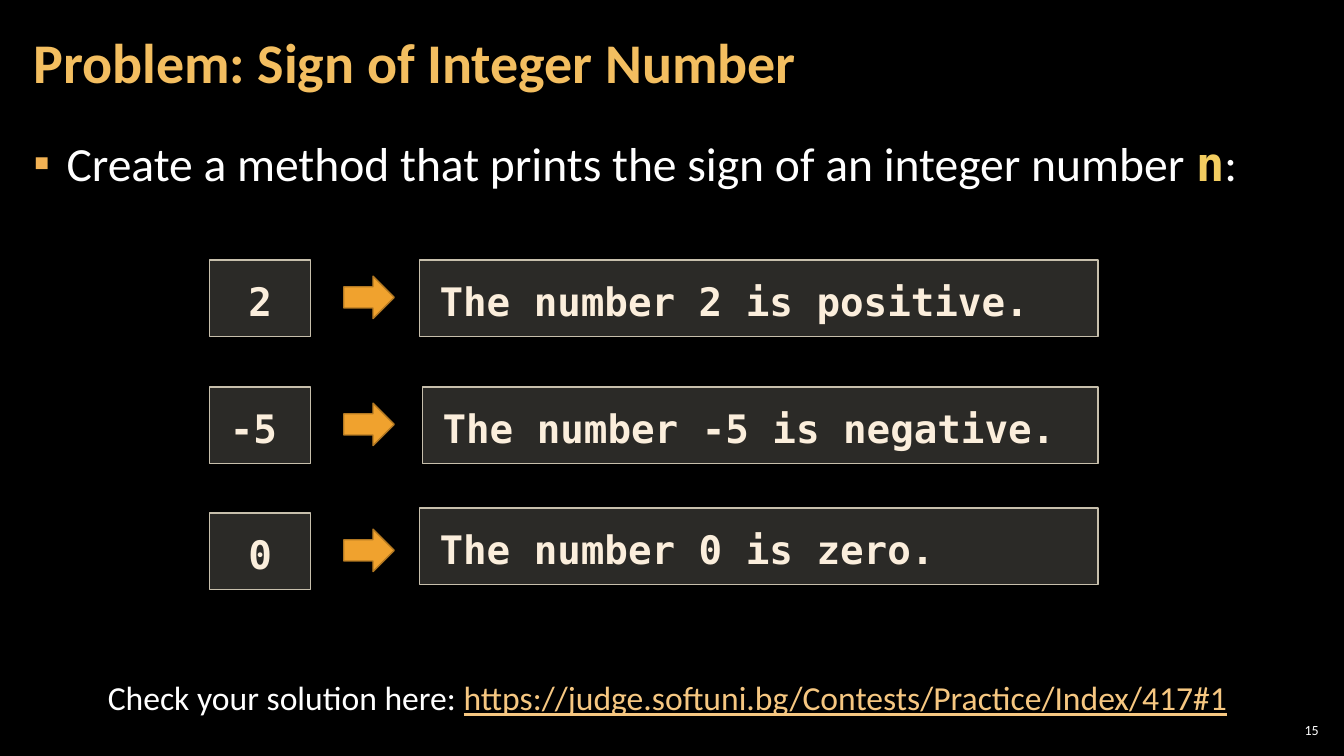
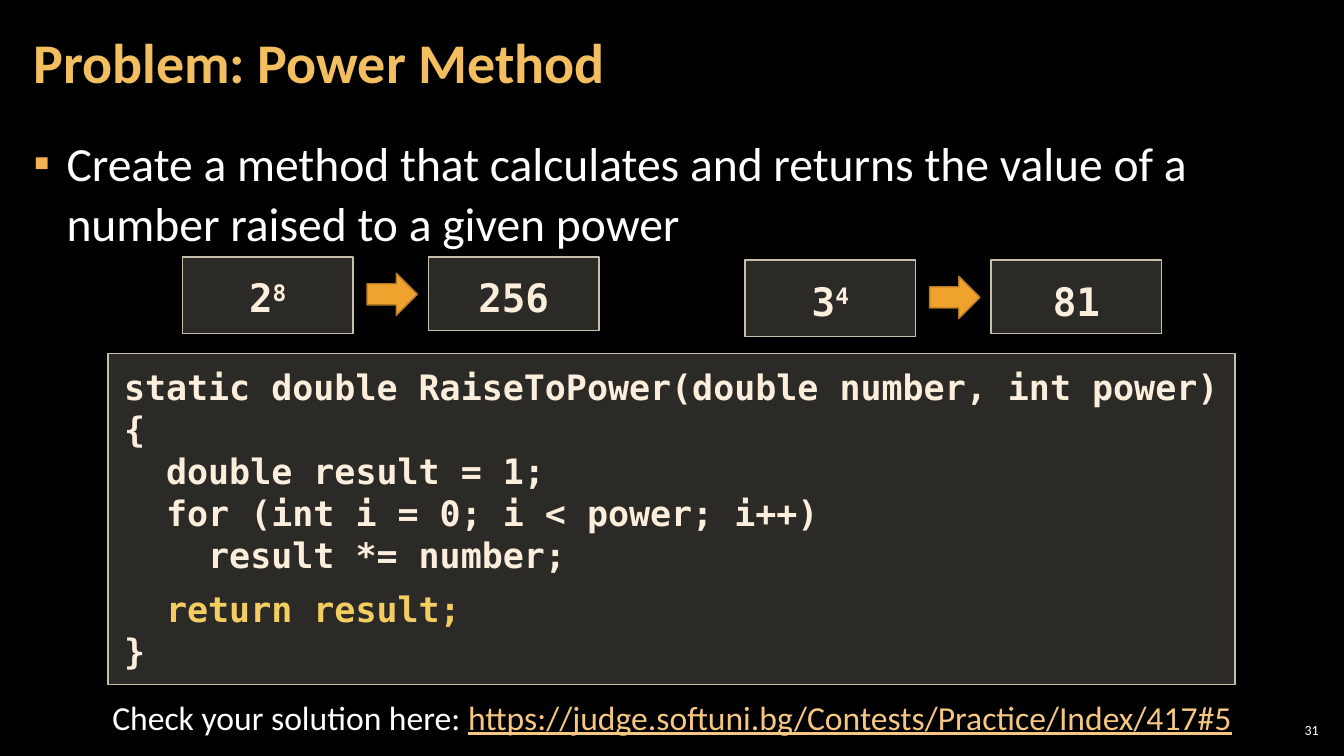
from dataclasses import dataclass
from typing import NamedTuple

from lxml import etree
from pptx import Presentation
from pptx import util as u
from pptx.dml.color import RGBColor
from pptx.enum import shapes, text
from pptx.oxml import ns

PX = 9144  # 100 px to the inch
SANS, MONO = "Calibri", "DejaVu Sans Mono"
BLACK, WHITE = "000000", "FFFFFF"
GOLD, YELLOW, BULLET, LINK = "F3BE60", "F3CD60", "F2B254", "F6C781"
PANEL, EDGE, CREAM = "D9D5C7", "C7BFAC", "FBEEDC"
ORANGE, RUST = "F0A22E", "B27822"
LEFT, MID, RIGHT = text.PP_ALIGN.LEFT, text.PP_ALIGN.CENTER, text.PP_ALIGN.RIGHT
CHECK = "Check your solution here: "
SITE = "https://judge.softuni.bg/Contests/Practice/Index/417#"


class Area(NamedTuple):
    x: int
    y: int
    w: int
    h: int


class Part(NamedTuple):
    text: str
    color: str = CREAM
    font: str = MONO
    bold: bool = True
    line: bool = False
    power: bool = False


@dataclass
class Pair:
    """An input box, an arrow and the output box."""
    left: Area
    right: Area
    value: list[Part]
    result: str
    gap: int
    side: text.PP_ALIGN = MID
    out: text.PP_ALIGN = MID


@dataclass
class Page:
    title: str
    task: list[Part]
    pairs: list[Pair]
    link: Area
    step: int
    number: int
    code: str = ""


def plain(words: str, color: str = WHITE, line: bool = False) -> Part:
    return Part(words, color, SANS, False, line)


def emu(*px: int) -> list[u.Emu]:
    return [u.Emu(n * PX) for n in px]


def paint(target, color: str) -> None:
    """Give a fill or a font one solid colour."""
    if hasattr(target, "solid"):
        target.solid()
        target.fore_color.rgb = RGBColor.from_string(color)
    else:
        target.color.rgb = RGBColor.from_string(color)


def place(shape, area: Area) -> None:
    shape.left, shape.top, shape.width, shape.height = emu(*area)


def frame(shape, pad_x: int, pad_y: int, anchor=text.MSO_ANCHOR.TOP):
    box = shape.text_frame
    box.word_wrap = True
    box.auto_size = text.MSO_AUTO_SIZE.NONE
    box.vertical_anchor = anchor
    box.margin_left, box.margin_right = emu(pad_x, pad_x)
    box.margin_top, box.margin_bottom = emu(pad_y, pad_y)
    return box


def write(para, parts: list[Part], size: int, side=LEFT, lead: float = 1.0) -> None:
    para.alignment = side
    para.line_spacing = lead
    para.space_before = u.Pt(0)
    for part in parts:
        run = para.add_run()
        run.text = part.text
        font = run.font
        font.size, font.name, font.bold = u.Pt(size), part.font, part.bold
        paint(font, part.color)
        if part.line:
            font.underline = True
        if part.power:
            run._r.get_or_add_rPr().set("baseline", "30000")


def mark(para) -> None:
    """Add a square bullet with a hanging indent."""
    props = para._p.get_or_add_pPr()
    indent = 33 * PX
    props.set("marL", str(indent))
    props.set("indent", str(-indent))
    tint = etree.SubElement(props, ns.qn("a:buClr"))
    etree.SubElement(tint, ns.qn("a:srgbClr")).set("val", BULLET)
    etree.SubElement(props, ns.qn("a:buChar")).set("char", "▪")


def block(slide, kind, area: Area, fill: str, edge: str):
    shape = slide.shapes.add_shape(kind, *emu(*area))
    shape.shadow.inherit = False
    paint(shape.fill, fill)
    paint(shape.line.fill, edge)
    shape.line.width = u.Pt(1)
    return shape


def panel(slide, area: Area):
    """Draw a box with a 20 % opaque fill."""
    shape = block(slide, shapes.MSO_SHAPE.RECTANGLE, area, PANEL, EDGE)
    tint = shape._element.spPr.find(ns.qn("a:solidFill"))[0]
    etree.SubElement(tint, ns.qn("a:alpha")).set("val", "20000")
    return shape


def label(slide, area: Area, parts: list[Part], side) -> None:
    box = frame(panel(slide, area), 20, 12)
    write(box.paragraphs[0], parts, 28, side, 1.1)


def note(slide, area: Area, parts: list[Part], size: int, side, pad: tuple[int, int],
         anchor=text.MSO_ANCHOR.TOP) -> None:
    box = frame(slide.shapes.add_textbox(*emu(*area)), *pad, anchor)
    write(box.paragraphs[0], parts, size, side)


def link_up(slide, pair: Pair) -> None:
    label(slide, pair.left, pair.value, pair.side)
    label(slide, pair.right, [Part(pair.result)], pair.out)
    x = pair.left.x + pair.left.w + pair.gap
    arrow = Area(x, pair.left.y + 16, 50, 42)
    block(slide, shapes.MSO_SHAPE.RIGHT_ARROW, arrow, ORANGE, RUST)


def listing(slide, code: str) -> None:
    box = frame(panel(slide, Area(107, 351, 1118, 328)), 16, 12)
    for i, line in enumerate(code.split("\n")):
        para = box.paragraphs[0] if i == 0 else box.add_paragraph()
        last = line.strip().startswith("return")
        write(para, [Part(line, YELLOW if last else CREAM)], 25)
        if last:
            para.space_before = u.Pt(8)


def build(deck, page: Page) -> None:
    slide = deck.slides.add_slide(deck.slide_layouts[1])
    title, body = slide.placeholders
    place(title, Area(21, 4, 1047, 121))
    box = frame(title, 12, 4, text.MSO_ANCHOR.MIDDLE)
    write(box.paragraphs[0], [Part(page.title, GOLD, SANS)], 40, lead=0.9)
    place(body, Area(21, 126, 1291, 609))
    para = frame(body, 12, 4).paragraphs[0]
    mark(para)
    write(para, page.task, 34, lead=1.05)
    para.space_after = u.Pt(6)
    if page.code:
        listing(slide, page.code)
    for pair in page.pairs:
        link_up(slide, pair)
    parts = [plain(CHECK), plain(f"{SITE}{page.step}", LINK, True)]
    note(slide, page.link, parts, 24, MID, (10, 5))
    note(slide, Area(1265, 714, 47, 21), [plain(str(page.number))], 10, RIGHT,
         (4, 4), text.MSO_ANCHOR.MIDDLE)


def sign(y: int, value: str, result: str, x: int = 416, rise: int = 0,
         side=MID) -> Pair:
    return Pair(Area(208, y, 100, 76), Area(x, y - rise, 1089 - x, 76),
                [Part(value)], result, 33, side, LEFT)


def power(x: int, y: int, base: str, top: str, result: str) -> Pair:
    return Pair(Area(x, y, 169, 76), Area(x + 244, y, 169, 73),
                [Part(base), Part(top, power=True)], result, 14)


CODE = """static double RaiseToPower(double number, int power)
{
  double result = 1;
  for (int i = 0; i < power; i++)
    result *= number;
  return result;
}"""

PAGES = [
    Page("Problem: Sign of Integer Number",
         [plain("Create a method that prints the sign of an integer number "),
          Part("n", YELLOW), plain(":")],
         [sign(258, "2", "The number 2 is positive."),
          sign(384, "-5", "The number -5 is negative.", x=419, side=LEFT),
          sign(509, "0", "The number 0 is zero.", rise=5)],
         Area(83, 667, 1158, 50), 1, 15),
    Page("Problem: Power Method",
         [plain("Create a method that calculates and returns the value of a "
                "number raised to a given power")],
         [power(181, 255, "2", "8", "256"), power(739, 258, "3", "4", "81")],
         Area(68, 686, 1197, 50), 5, 31, CODE),
]


def main() -> None:
    deck = Presentation()
    deck.slide_width, deck.slide_height = emu(1333, 750)
    paint(deck.slide_master.background.fill, BLACK)
    for page in PAGES:
        build(deck, page)
    deck.save("out.pptx")


if __name__ == "__main__":
    main()
